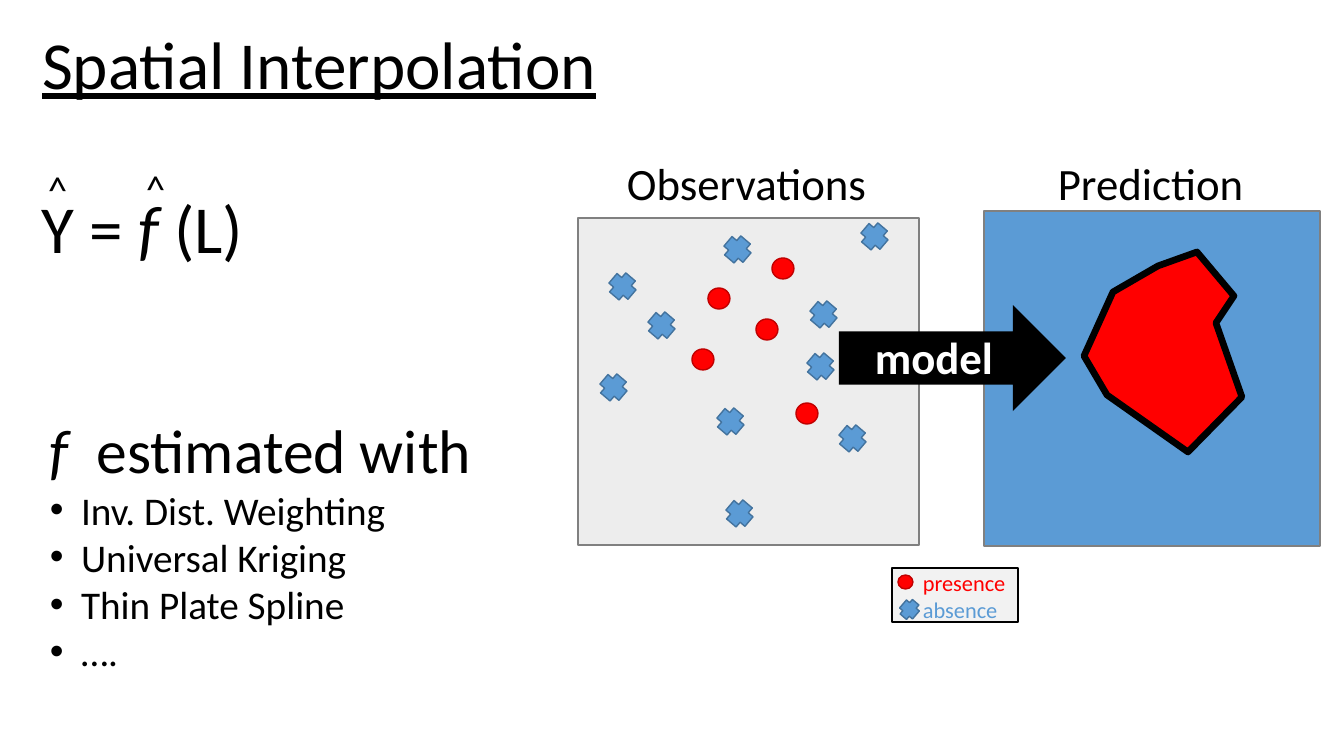
from lxml.etree import SubElement
from pptx import Presentation
from pptx.dml.color import RGBColor
from pptx.enum.shapes import MSO_SHAPE
from pptx.enum.text import MSO_ANCHOR, MSO_AUTO_SIZE, PP_ALIGN
from pptx.oxml.ns import qn
from pptx.util import Emu, Inches, Pt

SCALE = 914400 / 100.8
BLACK, WHITE, RED, DARK_RED = "000000", "FFFFFF", "FF0000", "C00000"
BLUE, DARK_BLUE, GRAY = "5B9BD5", "43739E", "808080"


def px(length):
    return Emu(round(length * SCALE))


def color(hex_code):
    return RGBColor.from_string(hex_code)


class SlideBuilder:
    font = "Calibri"

    def __init__(self, slide):
        self.slide = slide
        self.shapes = slide.shapes

    def paint(self, shape, fill, line=None, width=1):
        shape.shadow.inherit = False
        shape.fill.solid()
        shape.fill.fore_color.rgb = color(fill)
        if line:
            shape.line.color.rgb = color(line)
            shape.line.width = Pt(width)
        else:
            shape.line.fill.background()

    def shape(self, kind, box, fill, line=None, rotation=0):
        shape = self.shapes.add_shape(kind, *map(px, box))
        shape.rotation = rotation
        self.paint(shape, fill, line)

    def outline(self, points, fill, line, width):
        builder = self.shapes.build_freeform(*points[0], scale=SCALE)
        builder.add_line_segments(points[1:], close=True)
        self.paint(builder.convert_to_shape(), fill, line, width)

    def run(self, paragraph, text, size, hex_code=BLACK, bold=False,
            italic=False, underline=False, spacing=0):
        run = paragraph.add_run()
        run.text = text
        font = run.font
        font.name, font.size = self.font, Pt(size)
        font.bold, font.italic, font.underline = bold, italic, underline
        font.color.rgb = color(hex_code)
        if spacing:
            run._r.get_or_add_rPr().set("spc", str(spacing * 100))

    def bullet(self, paragraph):
        properties = paragraph._p.get_or_add_pPr()
        indent = Inches(0.31)
        properties.set("marL", str(indent))
        properties.set("indent", str(-indent))
        SubElement(properties, qn("a:buFont")).set("typeface", "Arial")
        SubElement(properties, qn("a:buChar")).set("char", "•")

    def title(self, text, box, size):
        title = self.shapes.title
        title.left, title.top, title.width, title.height = map(px, box)
        frame = title.text_frame
        frame.auto_size = MSO_AUTO_SIZE.NONE
        frame.vertical_anchor = MSO_ANCHOR.TOP
        paragraph = frame.paragraphs[0]
        paragraph.alignment = PP_ALIGN.LEFT
        self.run(paragraph, text, size, underline=True)

    def text(self, box, lines, wrap=False, bullets_from=None):
        frame = self.shapes.add_textbox(*map(px, box)).text_frame
        frame.word_wrap = wrap
        for index, runs in enumerate(lines):
            paragraph = frame.paragraphs[0] if index == 0 else frame.add_paragraph()
            if bullets_from is not None and index >= bullets_from:
                self.bullet(paragraph)
            for text, size, style in runs:
                self.run(paragraph, text, size, **style)

    def presence(self, x, y, width=22, height=21):
        self.shape(MSO_SHAPE.OVAL, (x, y, width, height), RED, DARK_RED)

    def absence(self, x, y, width=25, height=25):
        self.shape(MSO_SHAPE.CROSS, (x, y, width, height), BLUE, DARK_BLUE, 40.5)


deck = Presentation()
deck.slide_width, deck.slide_height = px(1344), px(756)
page = SlideBuilder(deck.slides.add_slide(deck.slide_layouts[5]))

page.title("Spatial Interpolation", (32, 17, 843, 92), 48)
page.text((32, 181, 420, 92), [[
    ("Y = ", 48, {}), ("f", 48, {"italic": True}), (" (L)", 48, {})]])
for hat_x, hat_y in [(38, 160), (136, 159)]:
    page.text((hat_x, hat_y, 40, 57), [[("^", 28, {})]])

methods = ["Inv. Dist. Weighting", "Universal Kriging", "Thin Plate Spline", "…."]
heading = [("f", 44, {"italic": True, "spacing": 10}), (" estimated with", 44, {})]
page.text((40, 407, 447, 323),
          [heading] + [[(method, 28, {})] for method in methods],
          wrap=True, bullets_from=1)

page.shape(MSO_SHAPE.RECTANGLE, (578, 218, 341, 327), "EDEDED", GRAY)
page.shape(MSO_SHAPE.RECTANGLE, (984, 211, 336, 335), BLUE, GRAY)
for caption, left, width in [("Observations", 617, 268), ("Prediction", 1048, 207)]:
    page.text((left, 151, width, 64), [[(caption, 32, {})]])

for spot in [(708, 288), (692, 349), (772, 258), (756, 319), (796, 403)]:
    page.presence(*spot)
for spot in [(727, 501), (718, 409), (601, 375), (610, 274), (862, 224),
             (840, 426), (811, 302), (725, 237), (808, 354), (649, 313)]:
    page.absence(*spot)

predicted_range = [(1158, 266), (1113, 292), (1084, 356), (1107, 395), (1188, 452),
                   (1242, 397), (1216, 323), (1234, 296), (1197, 252)]
page.outline(predicted_range, RED, BLACK, 4.75)

page.shape(MSO_SHAPE.RIGHT_ARROW, (839, 305, 227, 106), BLACK)
page.text((865, 325, 140, 64), [[("model", 32, {"hex_code": WHITE, "bold": True})]])

page.shape(MSO_SHAPE.RECTANGLE, (892, 568, 126, 54), "F2F2F2", BLACK)
page.text((913, 564, 104, 64), [[("presence", 16, {"hex_code": RED})],
                                [("absence", 16, {"hex_code": BLUE})]])
page.presence(898, 575, 15, 14)
page.absence(901, 600, 17, 19)

deck.save("out.pptx")
